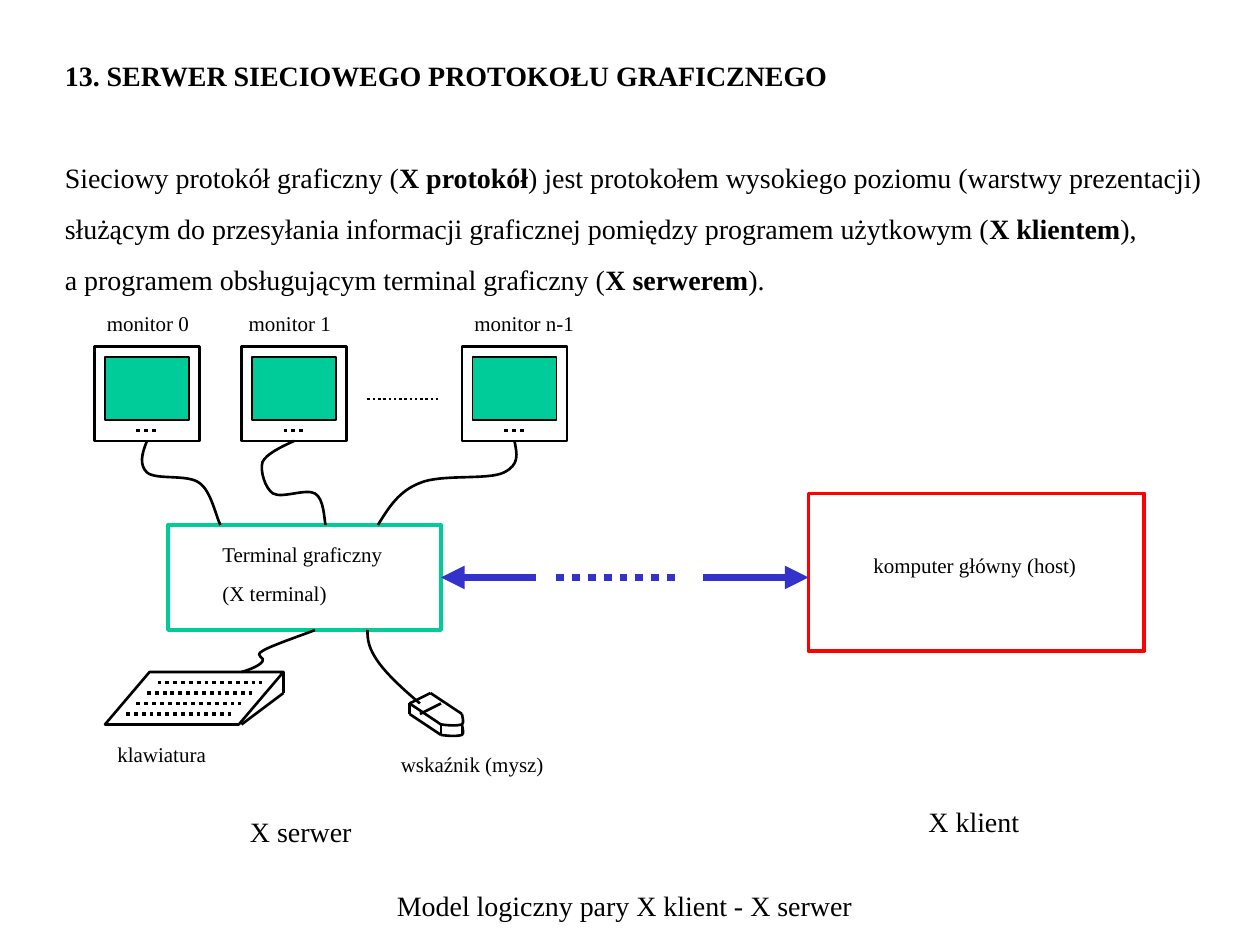
from dataclasses import dataclass

from lxml import etree
from pptx import Presentation
from pptx.dml.color import RGBColor
from pptx.enum import dml, shapes, text
from pptx.oxml import ns
from pptx import util as u

PX = 9525  # EMU per px, 96 px to the inch

BLACK = RGBColor(0x00, 0x00, 0x00)
GREEN = RGBColor(0x00, 0xCC, 0x99)
RED = RGBColor(0xFF, 0x00, 0x00)
BLUE = RGBColor(0x33, 0x33, 0xCC)
FONT = "Times New Roman"
SPACING = {12: 7.5, 16: 10}  # space before a paragraph, by text size
HEADING_GAP = 39


@dataclass
class Box:
    left: int
    top: int
    width: int
    height: int
    color: RGBColor = BLACK
    weight: float = 1.5
    fill: RGBColor | None = None
    kind: shapes.MSO_SHAPE = shapes.MSO_SHAPE.RECTANGLE


@dataclass
class Line:
    x1: int
    y1: int
    x2: int
    y2: int
    color: RGBColor = BLACK
    weight: float = 1.5
    dotted: bool = False
    arrow: bool = False


@dataclass
class Label:
    left: int
    top: int
    width: int
    height: int
    lines: tuple[str, ...]  # bold parts stand between asterisks
    size: int = 12
    indent: int = 0


@dataclass
class Monitor:
    left: int
    label: Label
    cable: list[tuple[int, int]]


def set_all(target, values: dict) -> None:
    for name, value in values.items():
        setattr(target, name, value)


def style_line(line, color: RGBColor, weight: float) -> None:
    line.color.rgb = color
    line.width = u.Pt(weight)


def draw_box(s, box: Box):
    sp = s.shapes.add_shape(box.kind, *(v * PX for v in (box.left, box.top, box.width, box.height)))
    sp.shadow.inherit = False
    if box.fill is None:
        sp.fill.background()
    else:
        sp.fill.solid()
        sp.fill.fore_color.rgb = box.fill
    style_line(sp.line, box.color, box.weight)
    return sp


def draw_line(s, line: Line):
    ends = (v * PX for v in (line.x1, line.y1, line.x2, line.y2))
    sp = s.shapes.add_connector(shapes.MSO_CONNECTOR.STRAIGHT, *ends)
    style_line(sp.line, line.color, line.weight)
    if line.dotted:
        sp.line.dash_style = dml.MSO_LINE.ROUND_DOT
    if line.arrow:
        etree.SubElement(sp.line._get_or_add_ln(), ns.qn("a:tailEnd"), type="triangle")
    etree.SubElement(sp._element.spPr, ns.qn("a:effectLst"))
    return sp


def draw_curve(s, points: list[tuple[int, int]]) -> None:
    """Start point, then three points for each Bézier segment."""
    builder = s.shapes.build_freeform(*points[0], scale=PX)
    builder.add_line_segments(points[1:], close=False)
    sp = builder.convert_to_shape()
    sp.shadow.inherit = False
    sp.fill.background()
    style_line(sp.line, BLACK, 1.5)
    outline = sp._element.find(".//" + ns.qn("a:path"))
    segments = outline.findall(ns.qn("a:lnTo"))
    for i in range(0, len(segments), 3):
        bezier = etree.SubElement(outline, ns.qn("a:cubicBezTo"))
        for segment in segments[i:i + 3]:
            bezier.append(segment[0])
            outline.remove(segment)


def draw_label(s, label: Label):
    sp = s.shapes.add_textbox(*(v * PX for v in (label.left, label.top, label.width, label.height)))
    tf = sp.text_frame
    set_all(tf, {"word_wrap": True, "auto_size": text.MSO_AUTO_SIZE.SHAPE_TO_FIT_TEXT})
    for i, content in enumerate(label.lines):
        p = tf.paragraphs[0] if i == 0 else tf.add_paragraph()
        p.space_before = u.Pt(SPACING[label.size])
        if label.indent:
            p._p.get_or_add_pPr().set("marL", str(label.indent * PX))
        for j, part in enumerate(content.split("*")):
            if part:
                r = p.add_run()
                r.text = part
                set_all(r.font, {"name": FONT, "size": u.Pt(label.size), "bold": j % 2 == 1})
                r.font.color.rgb = BLACK
    return tf


def draw_monitor(s, monitor: Monitor) -> None:
    x = monitor.left
    draw_box(s, Box(x, 264, 80, 72))
    draw_box(s, Box(x + 8, 272, 64, 48, weight=0.75, fill=GREEN))
    draw_line(s, Line(x + 32, 328, x + 48, 328, weight=2.25, dotted=True))
    draw_curve(s, monitor.cable)
    draw_label(s, monitor.label)


MONITORS = [
    Monitor(72, Label(72, 232, 96, 29, ("monitor 0",)),
            [(112, 336), (108, 346), (106, 354), (112, 360), (119, 366), (143, 361),
             (152, 368), (161, 374), (165, 395), (168, 400)]),
    Monitor(184, Label(168, 232, 120, 29, ("monitor 1",), indent=12),
            [(224, 336), (213, 341), (203, 346), (200, 352), (198, 359), (202, 372), (208, 376),
             (215, 380), (233, 372), (240, 376), (247, 380), (247, 396), (248, 400)]),
    Monitor(352, Label(336, 232, 112, 29, ("monitor n-1",), indent=16),
            [(392, 336), (394, 346), (396, 354), (384, 360), (372, 366), (336, 361),
             (320, 368), (304, 374), (296, 387), (288, 400)]),
]
KEYBOARD_CABLE = [(184, 512), (191, 510), (198, 507), (200, 504), (203, 501), (193, 500),
                  (200, 496), (206, 492), (233, 483), (240, 480)]
MOUSE_CABLE = [(280, 480), (280, 488), (281, 494), (288, 504), (295, 514), (307, 525), (320, 536)]
MOUSE_FRONT = [(336, 552), (343, 553), (349, 553), (352, 552), (354, 551), (352, 545), (352, 544)]
MOUSE_EDGES = [(312, 536, 328, 528), (328, 528, 352, 544), (312, 536, 336, 552),
               (312, 536, 312, 544), (336, 552, 336, 560), (312, 544, 336, 560),
               (352, 552, 352, 560), (336, 536, 320, 544)]
KEYBOARD_SIDE = [(216, 512, 216, 528), (216, 528, 184, 552)]
INTRO = Label(40, 40, 904, 191, (
    "*13. SERWER SIECIOWEGO PROTOKOŁU GRAFICZNEGO*",
    "Sieciowy protokół graficzny (*X protokół*) jest protokołem wysokiego poziomu (warstwy prezentacji)",
    "służącym do przesyłania informacji graficznej pomiędzy programem użytkowym (*X klientem*),",
    "a programem obsługującym terminal graficzny (*X serwerem*).",
), 16)
LABELS = [
    Label(160, 408, 184, 59, ("Terminal graficzny", "(X terminal)")),
    Label(80, 560, 112, 29, ("klawiatura",)),
    Label(296, 568, 144, 29, ("wskaźnik (mysz)",)),
    Label(632, 416, 224, 29, ("komputer główny (host)",), indent=24),
    Label(112, 616, 256, 36, ("X serwer",), 16, 69),
    Label(608, 608, 280, 36, ("X klient",), 16, 90),
    Label(112, 672, 760, 36, ("Model logiczny pary X klient - X serwer",), 16, 181),
]


def main() -> None:
    prs = Presentation()
    set_all(prs, {"slide_width": 960 * PX, "slide_height": 720 * PX})
    s = prs.slides.add_slide(prs.slide_layouts[6])

    # Heading and introduction
    draw_label(s, INTRO).paragraphs[1].space_before = u.Pt(HEADING_GAP)

    # Terminal and host
    terminal = draw_box(s, Box(128, 400, 208, 80, GREEN, 2.25))
    draw_box(s, Box(616, 376, 256, 120, RED, 2.25))

    # Keyboard
    keyboard = draw_box(s, Box(80, 512, 136, 40, kind=shapes.MSO_SHAPE.PARALLELOGRAM))
    keyboard.adjustments[0] = 0.85
    for row in range(4):
        x, y = 120 - 8 * row, 520 + 8 * row
        draw_line(s, Line(x, y, x + 80, y, weight=2.25, dotted=True))
    for edge in KEYBOARD_SIDE:
        draw_line(s, Line(*edge))
    draw_curve(s, KEYBOARD_CABLE)

    # Mouse
    for edge in MOUSE_EDGES:
        draw_line(s, Line(*edge))
    for drop in (0, 8):
        draw_curve(s, [(x, y + drop) for x, y in MOUSE_FRONT])
    draw_curve(s, MOUSE_CABLE)

    # Monitors
    for monitor in MONITORS:
        draw_monitor(s, monitor)
    draw_line(s, Line(280, 304, 336, 304, dotted=True))

    # Link between terminal and host
    to_terminal = draw_line(s, Line(408, 440, 336, 440, BLUE, 4.5, arrow=True))
    to_terminal.end_connect(terminal, 3)
    draw_line(s, Line(536, 440, 616, 440, BLUE, 4.5, arrow=True))
    draw_line(s, Line(424, 440, 520, 440, BLUE, 4.5, dotted=True))

    # Labels
    for label in LABELS:
        draw_label(s, label)

    prs.save("out.pptx")


if __name__ == "__main__":
    main()
